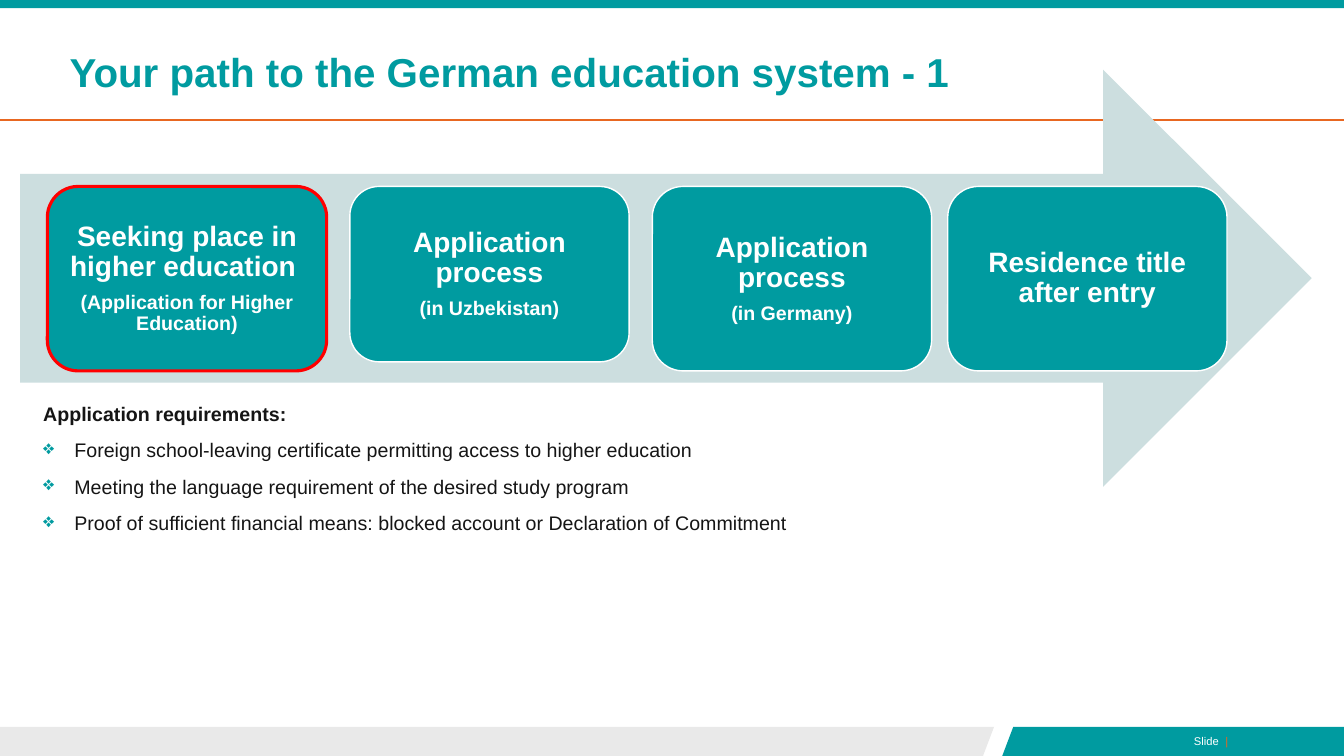
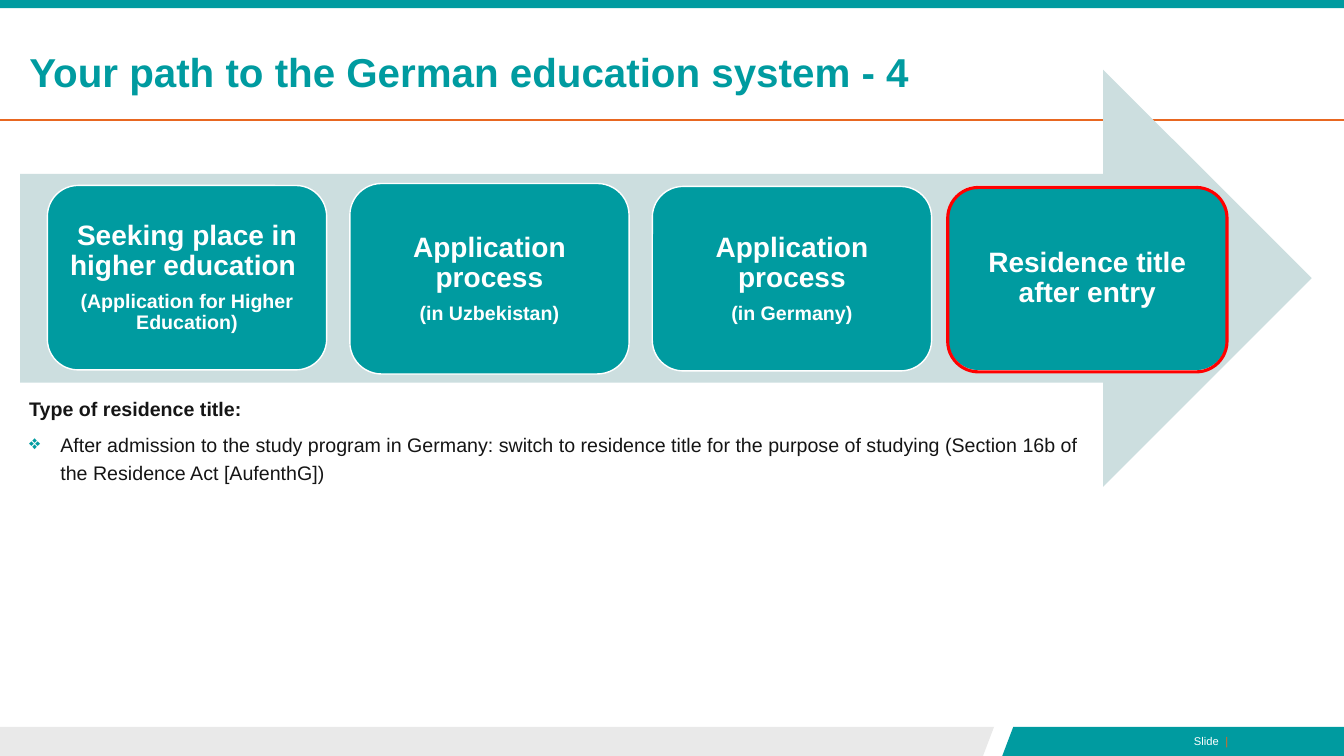
from lxml import etree
from pptx import Presentation
from pptx.dml.color import RGBColor
from pptx.enum.shapes import MSO_CONNECTOR as CONN, MSO_SHAPE as SHAPE
from pptx.enum.text import MSO_ANCHOR as ANCHOR, MSO_AUTO_SIZE as FIT, PP_ALIGN as ALIGN
from pptx.oxml.ns import qn
from pptx.util import Inches, Pt

TEAL, ORANGE, PALE, GREY = "009BA0", "E86721", "CCDEDF", "E9E9E9"
WHITE, RED, INK = "FFFFFF", "FF0000", "151515"
WIDTH, HEIGHT, FOOT_TOP = 13.33, 7.5, 7.21
STEP_WIDTH, STEP_HEIGHT = 2.77, 1.83
STEP_LEFTS = (0.47, 3.47, 6.47, 9.4)
STEPS = (
    ("Seeking place in higher education ", "(Application for Higher Education)"),
    ("Application process", "(in Uzbekistan)"),
    ("Application process", "(in Germany)"),
    ("Residence title after entry",),
)


def rgb(color):
    """Turn a hex string into a colour."""
    return RGBColor.from_string(color)


def apply(target, formats):
    """Set each attribute named in a dict of format values."""
    for name, value in formats.items():
        setattr(target, name, value)


class Deck:
    """Hold the style and the current slide."""

    def __init__(self):
        """Start an empty wide presentation."""
        self.prs = Presentation()
        apply(self.prs, {"slide_width": Inches(WIDTH), "slide_height": Inches(HEIGHT)})
        self.s = None

    def paint(self, sp, fill=None, line=None, width=1):
        """Give a shape its fill and outline, without a shadow."""
        sp.shadow.inherit = False
        if fill:
            sp.fill.solid()
            sp.fill.fore_color.rgb = rgb(fill)
        else:
            sp.fill.background()
        if line:
            sp.line.color.rgb = rgb(line)
            sp.line.width = Pt(width)
        else:
            sp.line.fill.background()

    def shape(self, kind, box, **look):
        """Add a preset shape."""
        sp = self.s.shapes.add_shape(kind, *map(Inches, box))
        self.paint(sp, **look)
        return sp

    def polygon(self, points, fill):
        """Add a closed outline through the points."""
        start, *rest = [(Inches(x), Inches(y)) for x, y in points]
        outline = self.s.shapes.build_freeform(*start)
        outline.add_line_segments(rest)
        self.paint(outline.convert_to_shape(), fill)

    def rule(self, y):
        """Add a line across the slide."""
        ends = map(Inches, (0, y, WIDTH, y))
        line = self.s.shapes.add_connector(CONN.STRAIGHT, *ends)
        line.line.color.rgb = rgb(ORANGE)
        line.line.width = Pt(1.25)
        etree.SubElement(line.element.spPr, qn("a:effectLst"))

    def textbox(self, box):
        """Add a wrapping text box and return its text frame."""
        tf = self.s.shapes.add_textbox(*map(Inches, box)).text_frame
        tf.word_wrap = True
        return tf

    def paragraph(self, tf, first, **formats):
        """Return the first or a new paragraph with its formats set."""
        p = tf.paragraphs[0] if first else tf.add_paragraph()
        apply(p, formats)
        return p

    def run(self, p, text, size, color, bold=False):
        """Add a run of text."""
        r = p.add_run()
        r.text = text
        apply(r.font, {"name": "Arial", "size": Pt(size), "bold": bold})
        r.font.color.rgb = rgb(color)

    def bullet(self, p):
        """Give a paragraph a hanging diamond bullet."""
        pPr = p._p.get_or_add_pPr()
        pPr.set("marL", str(Inches(0.31)))
        pPr.set("indent", str(-Inches(0.31)))
        color = etree.SubElement(pPr, qn("a:buClr"))
        etree.SubElement(color, qn("a:srgbClr")).set("val", TEAL)
        etree.SubElement(pPr, qn("a:buChar")).set("char", "❖")

    def frame(self):
        """Draw the bands, footer and title rule."""
        self.polygon([(0, FOOT_TOP), (9.86, FOOT_TOP), (9.75, HEIGHT), (0, HEIGHT)], GREY)
        self.polygon([(10.05, FOOT_TOP), (WIDTH, FOOT_TOP),
                      (WIDTH, HEIGHT), (9.94, HEIGHT)], TEAL)
        p = self.paragraph(self.textbox((11.11, 7.24, 1.17, 0.24)), True,
                           alignment=ALIGN.RIGHT)
        self.run(p, "Slide  ", 8, WHITE)
        self.run(p, "|", 8, ORANGE)
        self.shape(SHAPE.RECTANGLE, (0, 0, WIDTH, 0.08), fill=TEAL)
        self.rule(1.19)

    def slide(self, title, left):
        """Add a framed slide with its title."""
        self.s = self.prs.slides.add_slide(self.prs.slide_layouts[5])
        self.frame()
        sp = self.s.shapes.title
        apply(sp, {"left": Inches(left), "top": Inches(0.29),
                   "width": Inches(10.03), "height": Inches(0.9)})
        tf = sp.text_frame
        apply(tf, {"word_wrap": True, "auto_size": FIT.NONE,
                   "vertical_anchor": ANCHOR.MIDDLE})
        p = self.paragraph(tf, True, alignment=ALIGN.LEFT, line_spacing=0.9)
        self.run(p, title, 28.8, TEAL, True)

    def step(self, box, lines):
        """Add one rounded step with a heading and an optional note."""
        sp = self.shape(SHAPE.ROUNDED_RECTANGLE, box, fill=TEAL, line=WHITE)
        tf = sp.text_frame
        margins = ("margin_left", "margin_right", "margin_top", "margin_bottom")
        apply(tf, dict.fromkeys(margins, Inches(0.08)))
        apply(tf, {"word_wrap": True, "vertical_anchor": ANCHOR.MIDDLE})
        for i, (text, size) in enumerate(zip(lines, (20, 14))):
            p = self.paragraph(tf, i == 0, alignment=ALIGN.CENTER,
                               line_spacing=0.9, space_before=Pt(7 * i))
            self.run(p, text, size, WHITE, True)

    def path_arrow(self, spans, active, active_top):
        """Draw the arrow and its steps, and outline the active one."""
        self.shape(SHAPE.RIGHT_ARROW, (0.2, 0.69, 12.81, 4.14), fill=PALE)
        for left, (top, height), lines in zip(STEP_LEFTS, spans, STEPS):
            self.step((left, top, STEP_WIDTH, height), lines)
        self.shape(SHAPE.ROUNDED_RECTANGLE,
                   (STEP_LEFTS[active], active_top, STEP_WIDTH, STEP_HEIGHT),
                   line=RED, width=2.25)

    def details(self, box, heading, items):
        """Add a bold heading with bullets below it."""
        tf = self.textbox(box)
        for i, text in enumerate([heading, *items]):
            p = self.paragraph(tf, i == 0, line_spacing=Pt(20),
                               space_before=Pt(3 if i else 0), space_after=Pt(3))
            if i:
                self.bullet(p)
            self.run(p, text, 14, INK, i == 0)


def main():
    """Build and save both slides."""
    deck = Deck()
    usual = (1.85, STEP_HEIGHT)

    deck.slide("Your path to the German education system - 1", 0.59)
    deck.path_arrow((usual, (1.85, 1.74), usual, usual), 0, 1.85)
    deck.details((0.33, 3.89, 10.83, 1.48), "Application requirements:", [
        "Foreign school-leaving certificate permitting access to higher education",
        "Meeting the language requirement of the desired study program",
        "Proof of sufficient financial means: blocked account or Declaration of Commitment",
    ])

    deck.slide("Your path to the German education system - 4", 0.19)
    deck.path_arrow(((1.84, STEP_HEIGHT), (1.82, 1.89), usual, usual), 3, 1.86)
    deck.details((0.19, 3.84, 10.75, 1.03), "Type of residence title:", [
        "After admission to the study program in Germany: switch to residence title "
        "for the purpose of studying (Section 16b of the Residence Act [AufenthG])",
    ])

    deck.prs.save("out.pptx")


if __name__ == "__main__":
    main()
